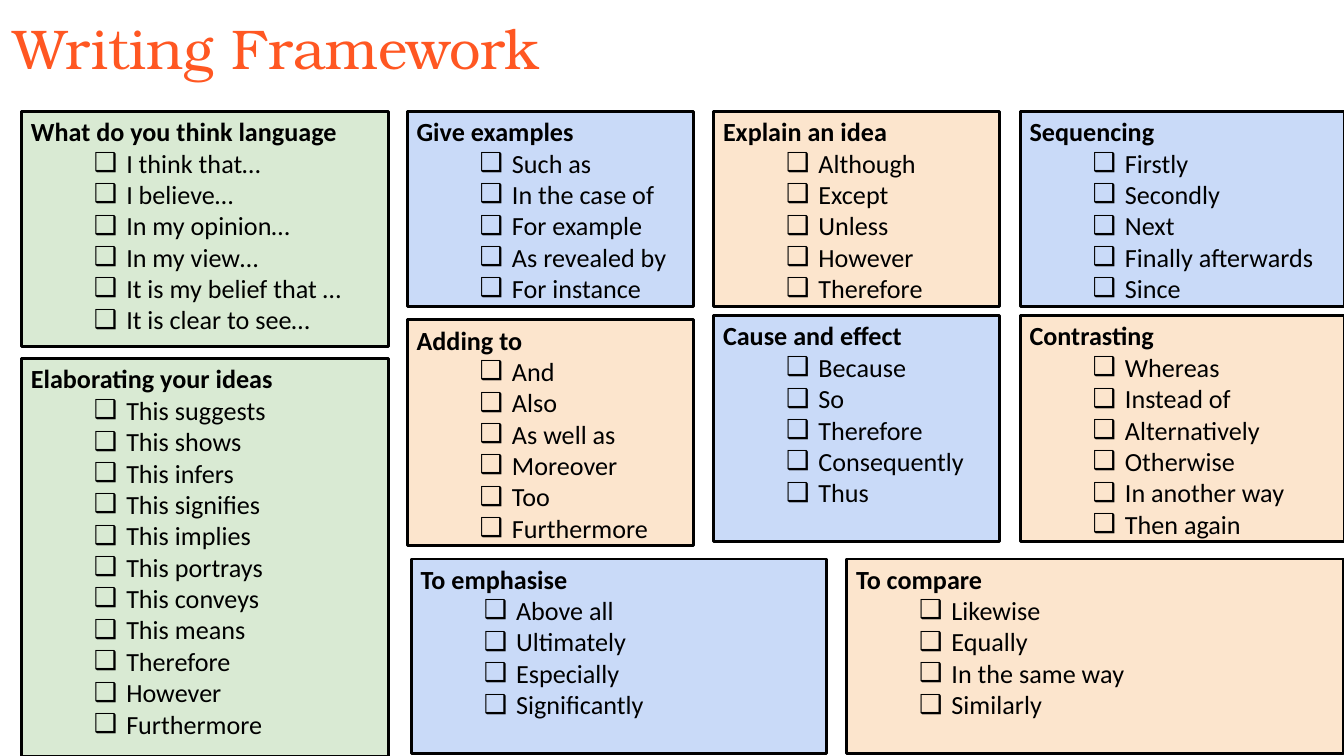
from lxml import etree
from pptx import Presentation
from pptx.dml.color import RGBColor
from pptx.enum.shapes import MSO_SHAPE
from pptx.enum.text import MSO_ANCHOR, PP_ALIGN
from pptx.oxml.ns import qn
from pptx.util import Inches, Pt

RECT = MSO_SHAPE.RECTANGLE
TOP = MSO_ANCHOR.TOP
LEFT = PP_ALIGN.LEFT

# Content: heading, colour, column, row, phrases
TITLE = "Writing Framework"
CARDS = [
    ("Give examples", "blue", "first", "upper",
     ["Such as", "In the case of", "For example", "As revealed by",
      "For instance"]),
    ("Explain an idea", "peach", "second", "upper",
     ["Although", "Except", "Unless", "However", "Therefore"]),
    ("Sequencing", "blue", "third", "upper",
     ["Firstly", "Secondly", "Next", "Finally afterwards", "Since"]),
    ("Adding to", "peach", "first", "adding",
     ["And", "Also", "As well as", "Moreover", "Too", "Furthermore"]),
    ("Contrasting", "peach", "third", "middle",
     ["Whereas", "Instead of", "Alternatively", "Otherwise",
      "In another way", "Then again"]),
    ("Cause and effect", "blue", "second", "middle",
     ["Because", "So", "Therefore", "Consequently", "Thus"]),
    ("To emphasise", "blue", "stress", "lower",
     ["Above all", "Ultimately", "Especially", "Significantly"]),
    ("To compare", "peach", "match", "lower",
     ["Likewise", "Equally", "In the same way", "Similarly"]),
    ("Elaborating your ideas", "green", "side", "detail",
     ["This suggests", "This shows", "This infers", "This signifies",
      "This implies", "This portrays", "This conveys", "This means",
      "Therefore", "However", "Furthermore"]),
    ("What do you think language", "green", "side", "opinion",
     ["I think that…", "I believe…", "In my opinion…", "In my view…",
      "It is my belief that …", "It is clear to see…"]),
]

# Layout: left and width of columns, top and height of rows
WIDE = Inches(10)
HIGH = WIDE * 9 // 16
COLS = {"side": (0.16, 2.73), "first": (3.03, 2.13), "second": (5.31, 2.13),
        "third": (7.59, 2.41), "stress": (3.06, 3.09), "match": (6.3, 3.7)}
ROWS = {"opinion": (0.83, 1.75), "detail": (2.67, 2.96),
        "upper": (0.83, 1.45), "adding": (2.38, 1.68),
        "middle": (2.35, 1.68), "lower": (4.16, 1.45)}

# Formats
COLORS = {"green": "D9EAD3", "blue": "C9DAF8", "peach": "FCE5CD",
          "black": "000000", "orange": "FF5722"}
HEAD = {"name": "Calibri", "size": Pt(14), "bold": True}
BODY = {**HEAD, "bold": False}
MAIN = {"name": "TeX Gyre Bonum", "size": Pt(30), "bold": False}


def paint(key):
    return RGBColor.from_string(COLORS[key])


def set_frame(frame, side, edge):
    form = {"word_wrap": True, "vertical_anchor": TOP,
            "margin_left": Inches(side), "margin_right": Inches(side),
            "margin_top": Inches(edge), "margin_bottom": Inches(edge)}
    for key, value in form.items():
        setattr(frame, key, value)


def add_bullet(para):
    props = para._p.get_or_add_pPr()
    props.set("marL", str(Inches(0.71)))
    props.set("indent", str(Inches(-0.24)))
    color = etree.SubElement(props, qn("a:buClr"))
    etree.SubElement(color, qn("a:srgbClr"), val=COLORS["black"])
    etree.SubElement(props, qn("a:buFont"), typeface=BODY["name"])
    etree.SubElement(props, qn("a:buChar"), char="❑")


def write(para, text, form, color):
    para.alignment = LEFT
    run = para.add_run()
    run.text = text
    for key, value in form.items():
        setattr(run.font, key, value)
    run.font.color.rgb = paint(color)


def add_card(slide, head, color, col, row, items):
    left, width = COLS[col]
    top, height = ROWS[row]
    box = slide.shapes.add_shape(
        RECT, Inches(left), Inches(top), Inches(width), Inches(height))
    box.shadow.inherit = False
    box.fill.solid()
    box.fill.fore_color.rgb = paint(color)
    box.line.color.rgb = paint("black")
    box.line.width = Pt(1.5)
    frame = box.text_frame
    set_frame(frame, 0.07, 0.03)
    write(frame.paragraphs[0], head, HEAD, "black")
    for item in items:
        para = frame.add_paragraph()
        add_bullet(para)
        write(para, item, BODY, "black")


def main():
    deck = Presentation()
    deck.slide_width, deck.slide_height = WIDE, HIGH
    slide = deck.slides.add_slide(deck.slide_layouts[6])

    # Title
    title = slide.shapes.add_textbox(0, 0, Inches(5), Inches(0.63))
    set_frame(title.text_frame, 0.1, 0.1)
    write(title.text_frame.paragraphs[0], TITLE, MAIN, "orange")

    # Phrase cards
    for card in CARDS:
        add_card(slide, *card)

    deck.save("out.pptx")


if __name__ == "__main__":
    main()
